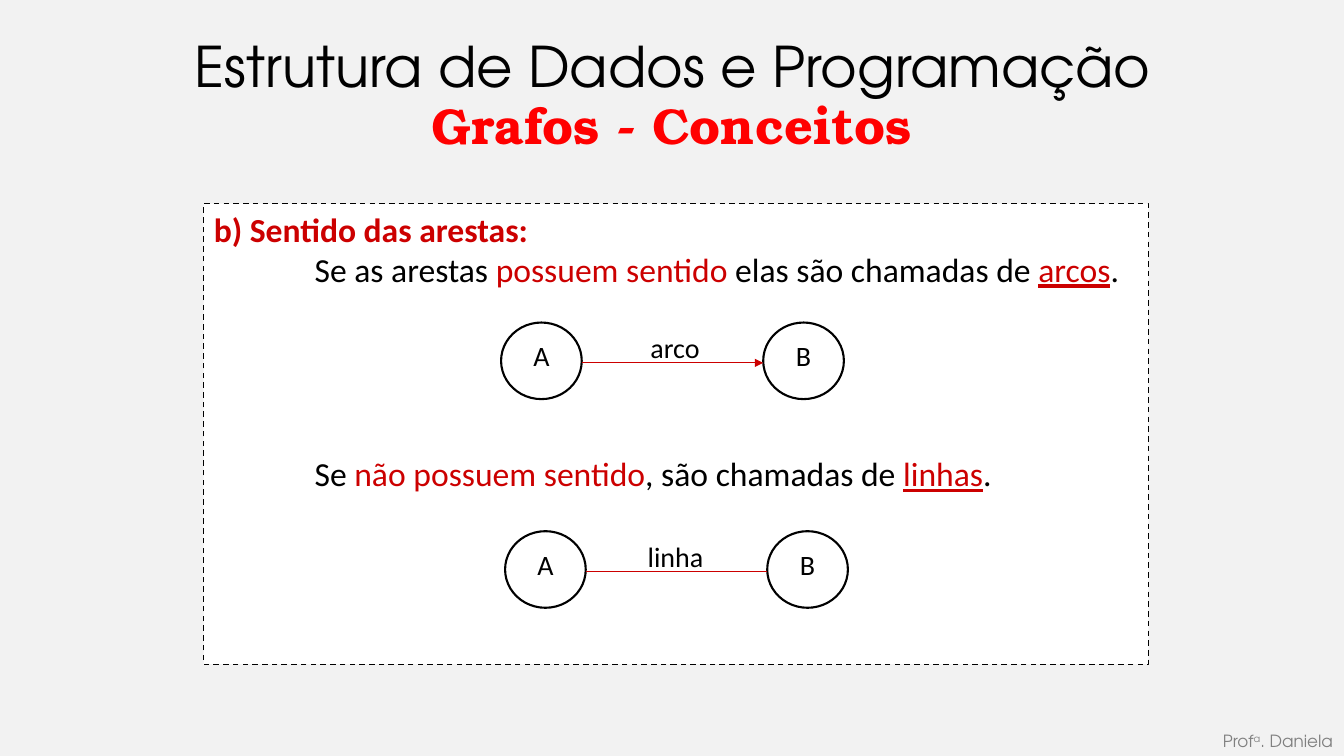
"""Build a slide on directed and undirected graph edges."""
import pptx
import pptx.dml.color
import pptx.enum.dml
import pptx.enum.shapes
import pptx.enum.text
import pptx.oxml.ns
import pptx.util
from lxml import etree

Inches = pptx.util.Inches
Pt = pptx.util.Pt
ALIGN = pptx.enum.text.PP_ALIGN
ANCHOR = pptx.enum.text.MSO_ANCHOR
COLORS = {
    "background": "F2F2F2",
    "panel": "FFFFFF",
    "ink": "000000",
    "accent": "CC0000",
    "subtitle": "FF0000",
    "footer": "808080",
}
BODY_FONT = "Calibri"
TITLE_FONT = "TeX Gyre Adventor"
SUBTITLE_FONT = "TeX Gyre Bonum"


def color(name):
    return pptx.dml.color.RGBColor.from_string(COLORS[name])


def place(box, left, top, width, height):
    box.left, box.top = Inches(left), Inches(top)
    box.width, box.height = Inches(width), Inches(height)


def add_span(para, text, font, size, ink="ink", bold=False, underline=False):
    span = para.add_run()
    span.text = text
    span.font.name = font
    span.font.size = Pt(size)
    span.font.bold = bold
    span.font.underline = underline
    span.font.color.rgb = color(ink)
    return span


def write_line(box, text, font, size, ink="ink", align=ALIGN.CENTER,
               anchor=ANCHOR.MIDDLE, bold=False):
    frame = box.text_frame
    frame.word_wrap = True
    frame.auto_size = pptx.enum.text.MSO_AUTO_SIZE.NONE
    frame.vertical_anchor = anchor
    para = frame.paragraphs[0]
    para.alignment = align
    add_span(para, text, font, size, ink, bold)
    return para


def fill_panel(box):
    place(box, 2.02, 2.02, 9.37, 4.57)
    box.fill.solid()
    box.fill.fore_color.rgb = color("panel")
    box.line.color.rgb = color("ink")
    box.line.width = Pt(1)
    box.line.dash_style = pptx.enum.dml.MSO_LINE.DASH
    frame = box.text_frame
    frame.auto_size = pptx.enum.text.MSO_AUTO_SIZE.NONE
    frame.vertical_anchor = ANCHOR.TOP
    paragraphs = [
        (0, 0, [("b) Sentido das arestas:", "accent", True, False)]),
        (1, 0, [("Se as arestas ", "ink", False, False),
                ("possuem sentido", "accent", False, False),
                (" elas são chamadas de ", "ink", False, False),
                ("arcos", "accent", False, True),
                (".", "ink", False, False)]),
        (1, 117, [("Se ", "ink", False, False),
                  ("não possuem sentido", "accent", False, False),
                  (", são chamadas de ", "ink", False, False),
                  ("linhas", "accent", False, True),
                  (".", "ink", False, False)]),
    ]
    for index, (indent, gap, spans) in enumerate(paragraphs):
        para = frame.add_paragraph() if index else frame.paragraphs[0]
        para.space_before = Pt(gap)
        properties = para._p.get_or_add_pPr()
        properties.set("marL", str(Inches(indent)))
        properties.set("indent", "0")
        etree.SubElement(properties, pptx.oxml.ns.qn("a:buNone"))
        for text, ink, bold, underline in spans:
            add_span(para, text, BODY_FONT, 24, ink, bold, underline)


def add_oval(group, text, left, top, width, outlined=True):
    oval = group.shapes.add_shape(
        pptx.enum.shapes.MSO_SHAPE.OVAL,
        Inches(left), Inches(top), Inches(width), Inches(0.76))
    oval.shadow.inherit = False
    oval.fill.background()
    if outlined:
        oval.line.color.rgb = color("ink")
        oval.line.width = Pt(1.5)
    else:
        oval.line.fill.background()
    write_line(oval, text, BODY_FONT, 20, anchor=ANCHOR.TOP)


def add_edge(group, left, right, height, directed):
    edge = group.shapes.add_connector(
        pptx.enum.shapes.MSO_CONNECTOR.STRAIGHT,
        Inches(left), Inches(height), Inches(right), Inches(height))
    edge.line.color.rgb = color("accent")
    edge.line.width = Pt(0.75)
    if directed:
        etree.SubElement(edge.line._get_or_add_ln(),
                         pptx.oxml.ns.qn("a:tailEnd"), type="triangle")
    etree.SubElement(edge._element.spPr, pptx.oxml.ns.qn("a:effectLst"))


def add_graph(page, label, left, top, label_left, label_width, directed):
    group = page.shapes.add_group_shape()
    node_width, node_step = 0.8, 2.6
    for index, name in enumerate("AB"):
        add_oval(group, name, left + index * node_step, top, node_width)
    add_oval(group, label, label_left, top - 0.08, label_width, outlined=False)
    add_edge(group, left + node_width, left + node_step, top + 0.4, directed)


def add_text_box(page, left, top, width, height):
    return page.shapes.add_textbox(
        Inches(left), Inches(top), Inches(width), Inches(height))


def main():
    deck = pptx.Presentation()
    deck.slide_width, deck.slide_height = Inches(13.33), Inches(7.5)
    page = deck.slides.add_slide(deck.slide_layouts[1])
    page.background.fill.solid()
    page.background.fill.fore_color.rgb = color("background")

    fill_panel(page.placeholders[1])
    add_graph(page, "arco", 4.97, 3.2, 6.14, 1.11, directed=True)
    add_graph(page, "linha", 5.01, 5.27, 6.11, 1.18, directed=False)

    footer = add_text_box(page, 9.75, 7.2, 3.57, 0.3)
    para = write_line(footer, "Prof", TITLE_FONT, 12, "footer",
                      ALIGN.RIGHT, ANCHOR.TOP)
    ordinal = add_span(para, "a", TITLE_FONT, 12, "footer")
    ordinal.font._element.set("baseline", "30000")
    add_span(para, ". Daniela", TITLE_FONT, 12, "footer")

    title = page.shapes.title
    place(title, 0.67, 0.02, 12, 1.25)
    write_line(title, "Estrutura de Dados e Programação", TITLE_FONT, 40)
    subtitle = add_text_box(page, 0.26, 0.92, 12.81, 0.63)
    write_line(subtitle, "Grafos - Conceitos", SUBTITLE_FONT, 36,
               "subtitle", bold=True)
    deck.save("out.pptx")


if __name__ == "__main__":
    main()
